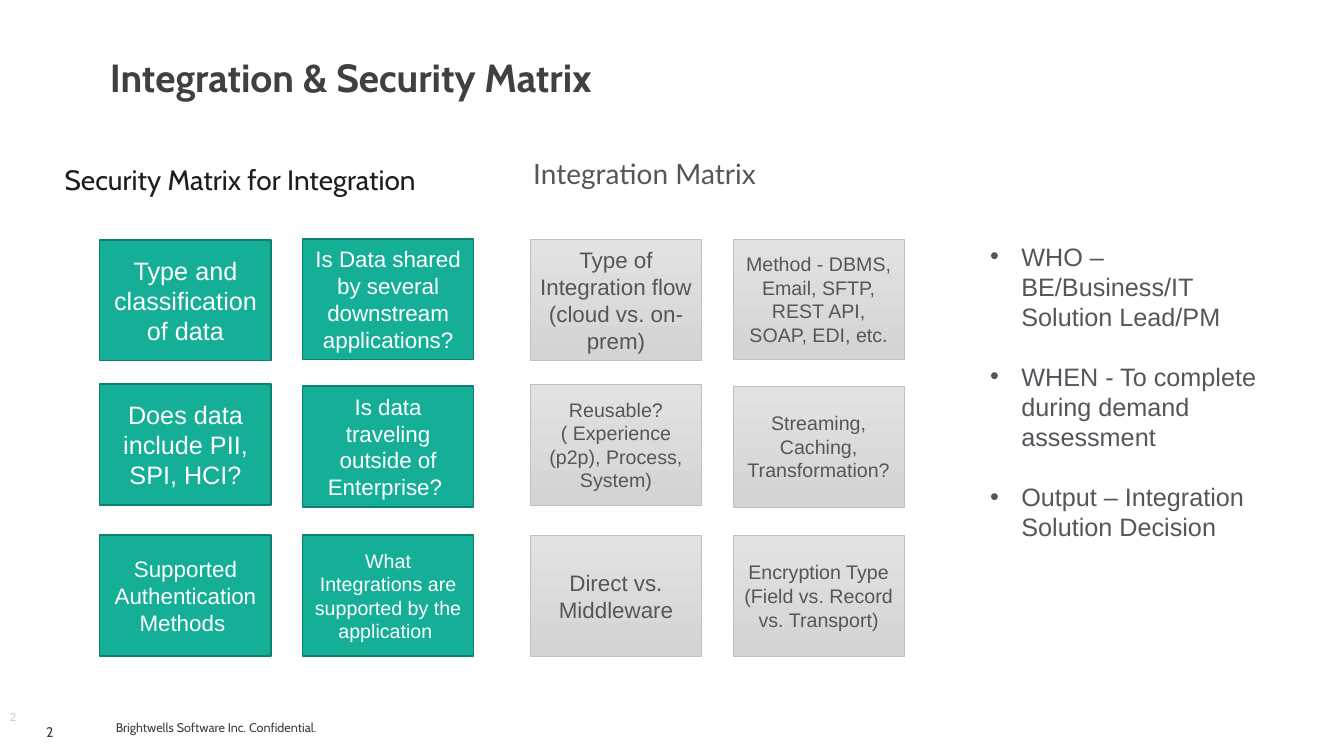
from lxml import etree
from pptx import Presentation
from pptx import util as u
from pptx.dml.color import RGBColor
from pptx.enum import shapes, text
from pptx.oxml import ns

SLIDE_WIDTH, SLIDE_HEIGHT = 13.33, 7.5
WHITE = RGBColor(0xFF, 0xFF, 0xFF)
TEAL = RGBColor(0x15, 0xAF, 0x97)
TEAL_EDGE = RGBColor(0x10, 0x81, 0x70)
GREY_TOP = RGBColor(0xE2, 0xE2, 0xE2)
GREY_BOTTOM = RGBColor(0xD4, 0xD4, 0xD4)
GREY_EDGE = RGBColor(0xBF, 0xBF, 0xBF)
SLATE = RGBColor(0x54, 0x56, 0x5B)
CHARCOAL = RGBColor(0x40, 0x40, 0x40)
INK = RGBColor(0x1D, 0x1D, 0x1B)
PALE = RGBColor(0xC6, 0xCA, 0xC6)

CARD_WIDTH, CARD_HEIGHT = 1.7, 1.2
COLUMN_STEP = 2.01
ROW_TOPS = ((0, 1.43, 2.93), (-0.01, 1.45, 2.93))  # for each column of a matrix

# Rows of (question, text size) pairs
SECURITY_CARDS = (
    (("Type and classification of data", 18),
     ("Is Data shared by several downstream applications?", 16)),
    (("Does data include PII, SPI, HCI?", 18),
     ("Is data traveling outside of Enterprise? ", 16)),
    (("Supported Authentication Methods ", 16),
     ("What Integrations are supported by the application ", 14)),
)
INTEGRATION_CARDS = (
    (("Type of Integration flow (cloud vs. on-prem)", 16),
     ("Method - DBMS, Email, SFTP, REST API, SOAP, EDI, etc.", 14)),
    (("Reusable? ( Experience (p2p), Process, System)", 14),
     ("Streaming, Caching, Transformation?", 14)),
    (("Direct vs. Middleware", 16),
     ("Encryption Type (Field vs. Record vs. Transport)", 14)),
)
NOTES = (
    "WHO – BE/Business/IT Solution Lead/PM",
    "WHEN - To complete during demand assessment",
    "Output – Integration Solution Decision",
)


def place(shape, left, top, width, height):
    shape.left, shape.top = u.Inches(left), u.Inches(top)
    shape.width, shape.height = u.Inches(width), u.Inches(height)
    return shape


def set_indent(paragraph, margin, hanging, bullet=None):
    """Set the left margin, hanging indent (inches) and bullet of a paragraph."""
    properties = paragraph._p.get_or_add_pPr()
    properties.set("marL", str(u.Inches(margin)))
    properties.set("indent", str(-u.Inches(hanging)))
    mark = etree.SubElement(properties, ns.qn("a:buChar" if bullet else "a:buNone"))
    if bullet:
        mark.set("char", bullet)


def write(shape, *lines, font="Arial", size=18, color=SLATE, bold=False,
          align=text.PP_ALIGN.LEFT, anchor=text.MSO_ANCHOR.TOP, insets=(0.1, 0.05),
          spacing=1.0, gap=0, margin=0, hanging=0, bullet=None):
    """Fill a shape with one paragraph a line; gap is the space between them in points."""
    frame = shape.text_frame
    frame.word_wrap = True
    frame.auto_size = text.MSO_AUTO_SIZE.NONE
    frame.vertical_anchor = anchor
    frame.margin_left = frame.margin_right = u.Inches(insets[0])
    frame.margin_top = frame.margin_bottom = u.Inches(insets[1])
    for index, line in enumerate(lines):
        paragraph = frame.add_paragraph() if index else frame.paragraphs[0]
        paragraph.alignment = align
        paragraph.line_spacing = spacing
        paragraph.space_before = u.Pt(gap if index else 0)
        set_indent(paragraph, margin, hanging, bullet)
        run = paragraph.add_run()
        run.text = line
        run.font.name, run.font.size = font, u.Pt(size)
        run.font.bold = bold
        run.font.color.rgb = color


def add_label(slide, box, line, **style):
    label = slide.shapes.add_textbox(*map(u.Inches, box))
    write(label, line, **style)


def paint_teal(card):
    card.fill.solid()
    card.fill.fore_color.rgb = TEAL
    card.line.color.rgb = TEAL_EDGE
    card.line.width = u.Pt(1)


def paint_grey(card):
    card.fill.gradient()
    card.fill.gradient_angle = 270
    for stop, color in zip(card.fill.gradient_stops, (GREY_TOP, GREY_BOTTOM)):
        stop.color.rgb = color
    card.line.color.rgb = GREY_EDGE
    card.line.width = u.Pt(0.5)


def add_matrix(slide, left, top, rows, paint, color):
    for row, cards in enumerate(rows):
        for column, (question, size) in enumerate(cards):
            card = slide.shapes.add_shape(
                shapes.MSO_SHAPE.RECTANGLE,
                u.Inches(left + column * COLUMN_STEP),
                u.Inches(top + ROW_TOPS[column][row]),
                u.Inches(CARD_WIDTH), u.Inches(CARD_HEIGHT))
            card.shadow.inherit = False
            paint(card)
            write(card, question, size=size, color=color,
                  align=text.PP_ALIGN.CENTER, anchor=text.MSO_ANCHOR.MIDDLE)


def add_footer(slide, left, top):
    add_label(slide, (left + 1.05, top + 0.05, 2.73, 0.34),
              "Brightwells Software Inc. Confidential.", font="Cabin", size=9,
              color=CHARCOAL, anchor=text.MSO_ANCHOR.MIDDLE, insets=(0.1, 0.1))
    add_label(slide, (left + 0.36, top + 0.06, 0.37, 0.31), "2",
              font="Cabin", size=10, color=CHARCOAL, spacing=u.Pt(17))
    add_label(slide, (left, top, 3, 0.32), "2", font="Lato", size=8, color=PALE)


def build_matrix_slide(presentation):
    slide = presentation.slides.add_slide(presentation.slide_layouts[3])
    title, heading, notes = slide.placeholders

    write(place(title, 1.05, 0.36, SLIDE_WIDTH - 1.05, 0.86),
          "Integration & Security Matrix", font="Cabin", size=28, color=CHARCOAL,
          bold=True, anchor=text.MSO_ANCHOR.MIDDLE, insets=(0.04, 0.04), spacing=0.9)
    write(place(heading, 0.54, 1.6, 4.67, 4.76), "Security Matrix for Integration",
          font="Cabin", size=20, color=INK, spacing=0.9)
    add_label(slide, (4.94, 1.46, 4.67, 5.28), "Integration Matrix", font="Lato",
              size=20, spacing=1.14, margin=0.5, hanging=0.25)

    add_matrix(slide, 0.99, 2.38, SECURITY_CARDS, paint_teal, WHITE)
    add_matrix(slide, 5.26, 2.38, INTEGRATION_CARDS, paint_grey, SLATE)
    write(place(notes, 9.72, 2.34, 2.9, 3.13), *NOTES,
          gap=21, margin=0.31, hanging=0.31, bullet="•")
    add_footer(slide, 0, 7)


def main():
    presentation = Presentation()
    presentation.slide_width = u.Inches(SLIDE_WIDTH)
    presentation.slide_height = u.Inches(SLIDE_HEIGHT)
    build_matrix_slide(presentation)
    presentation.save("out.pptx")


if __name__ == "__main__":
    main()
